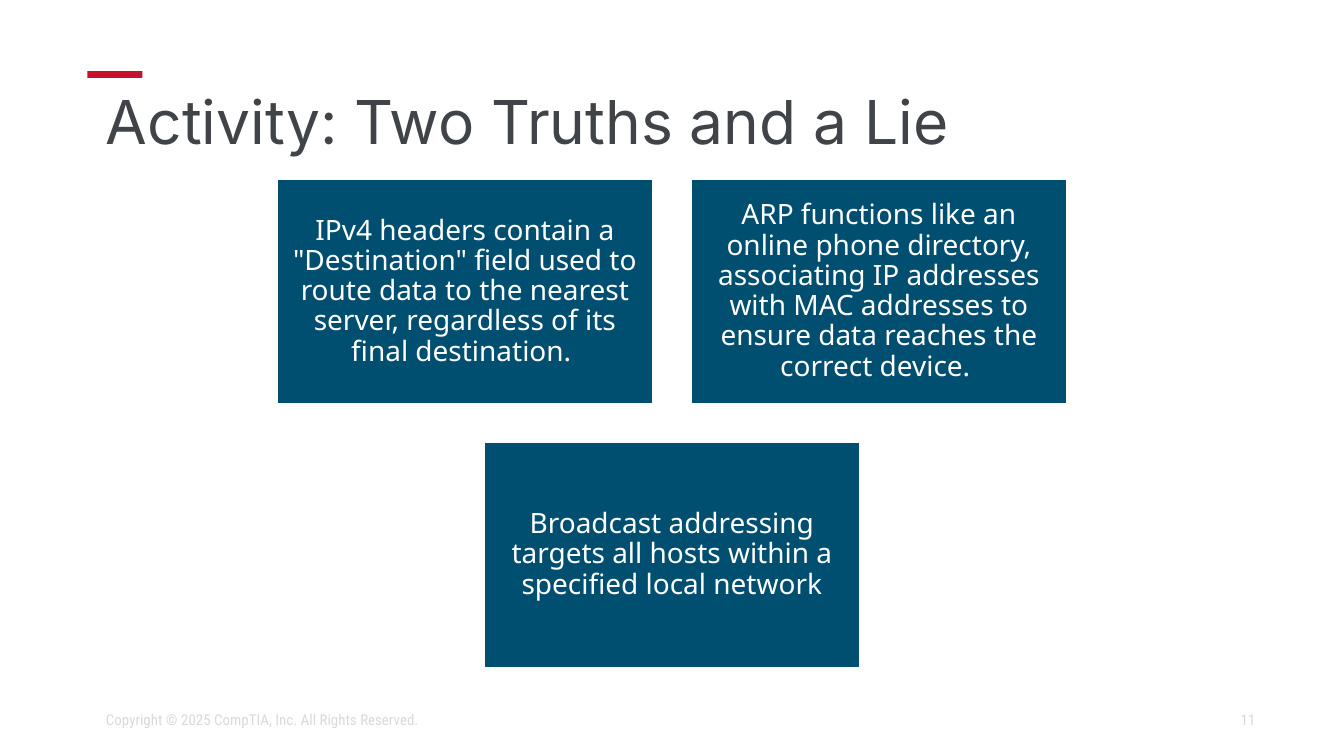
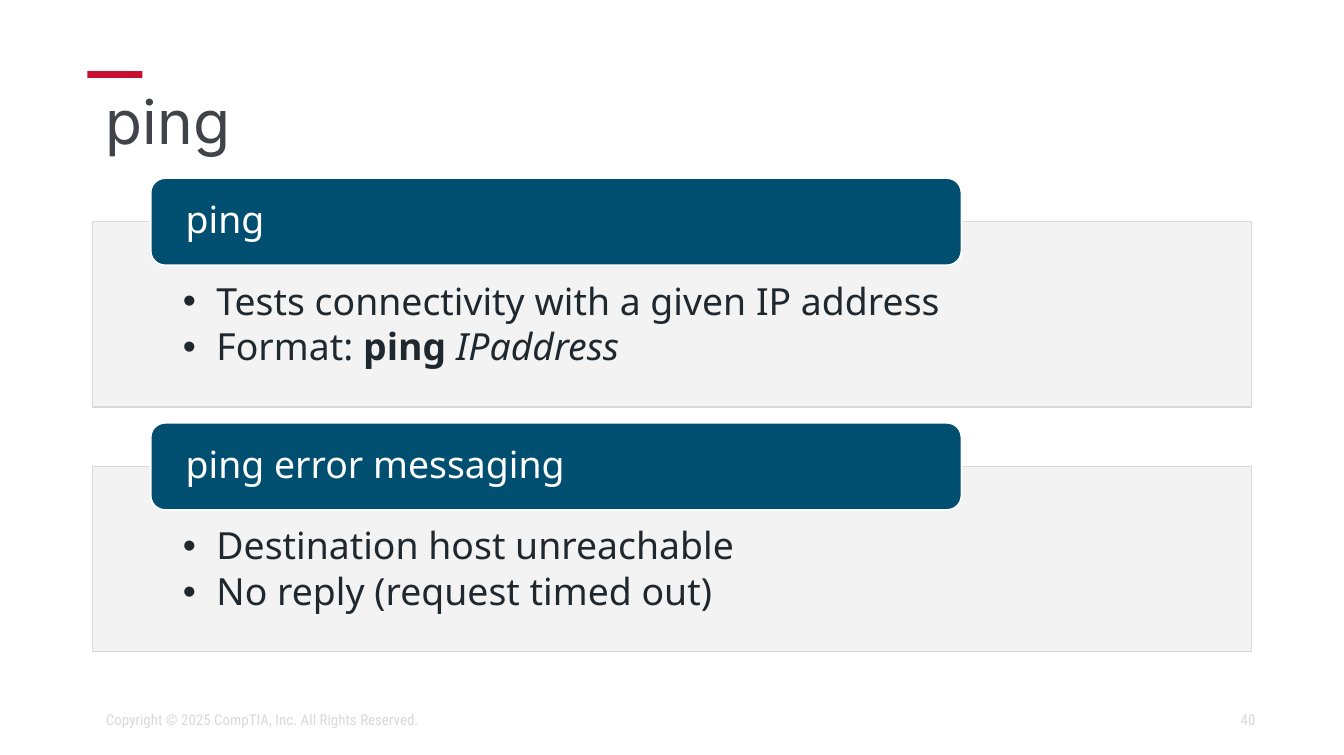
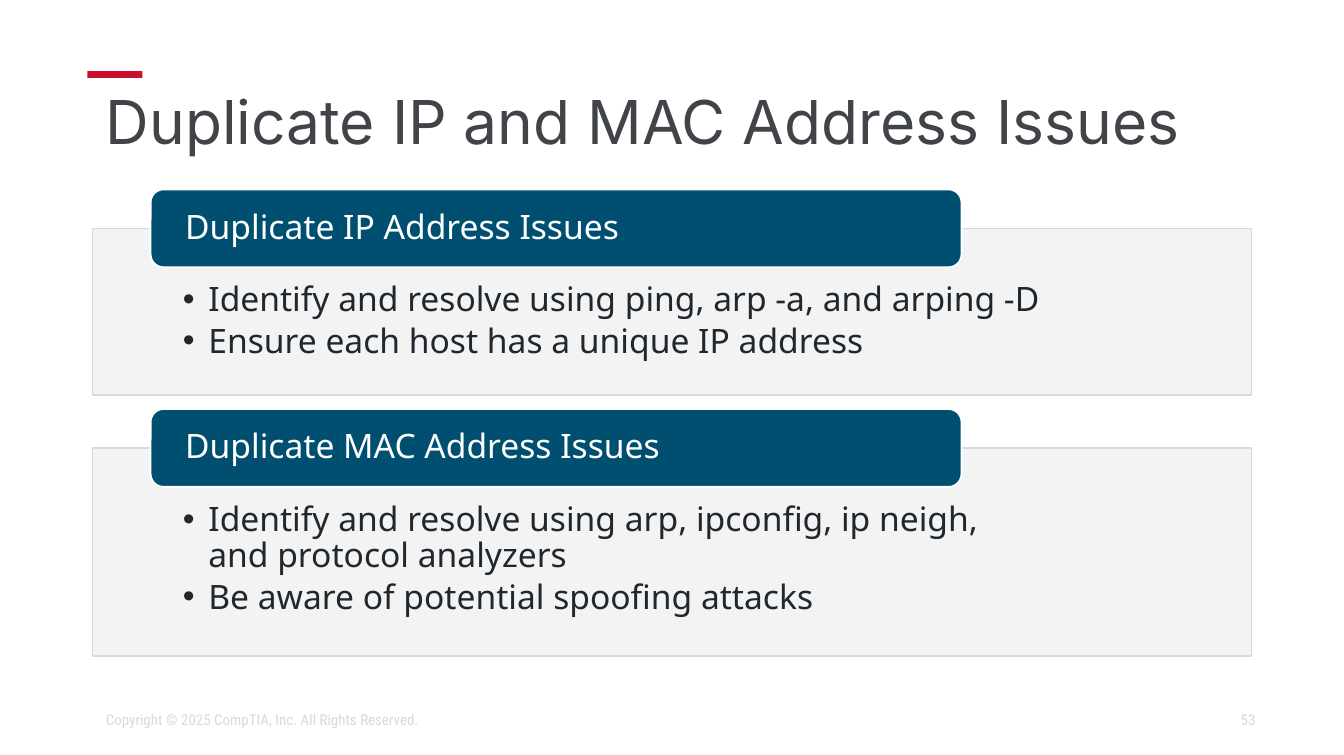
"""Build three networking slides: a card activity and two slides of tabbed panels."""
from lxml import etree
from pptx import Presentation
from pptx.dml.color import RGBColor
from pptx.enum.shapes import MSO_SHAPE
from pptx.enum.text import MSO_ANCHOR, PP_ALIGN
from pptx.oxml.ns import qn
from pptx.util import Inches, Pt

RECT, ROUNDED = MSO_SHAPE.RECTANGLE, MSO_SHAPE.ROUNDED_RECTANGLE
TOP, MIDDLE = MSO_ANCHOR.TOP, MSO_ANCHOR.MIDDLE
LEFT, CENTER, RIGHT = PP_ALIGN.LEFT, PP_ALIGN.CENTER, PP_ALIGN.RIGHT

WIDTH, HEIGHT = 10, 5.62
MARGIN = 0.69
CONTENT = WIDTH - 2 * MARGIN
RED, BLUE, WHITE = "C8102E", "004F71", "FFFFFF"
PANEL_GREY, RULE_GREY = "F2F2F2", "D9D9D9"
TITLE_STYLE = {"name": "Inter", "size": Pt(32.4), "color": "404448"}
FOOTER_STYLE = {"name": "Roboto Condensed", "size": Pt(8), "color": RULE_GREY}
BODY_FONT, BODY_COLOR = "Noto Sans", "20282F"
COPYRIGHT = "Copyright © 2025 CompTIA, Inc. All Rights Reserved."


def paint(fill, color):
    """Make a fill solid in a hex colour."""
    fill.solid()
    fill.fore_color.rgb = RGBColor.from_string(color)


def write(box, paragraphs, style, align=LEFT, anchor=TOP, spacing=0.9,
          insets=(0.1, 0.05, 0.1, 0.05), after=0, hanging=0):
    """Fill a box with paragraphs of (text, format) runs; a newline run breaks the line."""
    frame = box.text_frame
    frame.word_wrap = True
    frame.vertical_anchor = anchor
    for side, inset in zip(("left", "top", "right", "bottom"), insets):
        setattr(frame, f"margin_{side}", Inches(inset))
    for index, runs in enumerate(paragraphs):
        paragraph = frame.add_paragraph() if index else frame.paragraphs[0]
        paragraph.alignment = align
        paragraph.line_spacing = spacing
        paragraph.space_after = Pt(after)
        if hanging:
            paragraph.level = 1
            properties = paragraph._p.get_or_add_pPr()
            properties.set("marL", str(Inches(hanging)))
            properties.set("indent", str(-Inches(hanging)))
            etree.SubElement(properties, qn("a:buFont")).set("typeface", "Arial")
            etree.SubElement(properties, qn("a:buChar")).set("char", "•")
        for text, extra in runs:
            if text == "\n":
                paragraph.add_line_break()
                continue
            run = paragraph.add_run()
            run.text = text
            for key, value in {**style, **extra}.items():
                if key == "color":
                    paint(run.font.fill, value)
                else:
                    setattr(run.font, key, value)


deck = Presentation()
deck.slide_width, deck.slide_height = Inches(WIDTH), Inches(HEIGHT)
blank = deck.slide_layouts[6]

slides = []
for title, number in (
    ("Activity: Two Truths and a Lie", "11"),
    ("ping", "40"),
    ("Duplicate IP and MAC Address Issues", "53"),
):
    slide = deck.slides.add_slide(blank)
    slides.append(slide)
    accent = slide.shapes.add_shape(
        RECT, Inches(0.65), Inches(0.53), Inches(0.41), Inches(0.05))
    accent.shadow.inherit = False
    paint(accent.fill, RED)
    accent.line.fill.background()
    for text, left, top, width, height, style, align, anchor, spacing in (
        (title, MARGIN, 0.64, CONTENT, 0.63, TITLE_STYLE, LEFT, TOP, 0.9),
        (COPYRIGHT, MARGIN, 5.21, 4.31, 0.3, FOOTER_STYLE, LEFT, MIDDLE, 1.0),
        (number, 7.06, 5.21, 2.38, 0.3, FOOTER_STYLE, RIGHT, MIDDLE, 1.0),
    ):
        label = slide.shapes.add_textbox(
            Inches(left), Inches(top), Inches(width), Inches(height))
        write(label, [[(text, {})]], style, align, anchor, spacing)

CARD_WIDTH, CARD_HEIGHT, CARD_GAP, CARD_TOP = 2.8, 1.68, 0.28, 1.33
card_style = {"name": BODY_FONT, "size": Pt(15), "color": WHITE}
card_rows = [
    [
        'IPv4 headers contain a "Destination" field used to route data to the '
        "nearest server, regardless of its final destination. ",
        "ARP functions like an online phone directory, associating IP addresses "
        "with MAC addresses to ensure data reaches the correct device. ",
    ],
    ["Broadcast addressing targets all hosts within a specified local network"],
]
for row, statements in enumerate(card_rows):
    row_width = len(statements) * (CARD_WIDTH + CARD_GAP) - CARD_GAP
    for column, statement in enumerate(statements):
        card = slides[0].shapes.add_shape(
            RECT,
            Inches((WIDTH - row_width) / 2 + column * (CARD_WIDTH + CARD_GAP)),
            Inches(CARD_TOP + row * (CARD_HEIGHT + CARD_GAP)),
            Inches(CARD_WIDTH), Inches(CARD_HEIGHT))
        card.shadow.inherit = False
        paint(card.fill, BLUE)
        paint(card.line.fill, WHITE)
        card.line.width = Pt(1)
        write(card, [[(statement, {})]], card_style, CENTER, MIDDLE, insets=(0.06,) * 4)

panel_slides = [
    (slides[1], 20, 1.65, 0.65, 0.25, [
        ("ping", 1.38, [
            [("Tests connectivity with a given IP address", {})],
            [("Format: ", {}), ("ping ", {"bold": True}), ("IPaddress", {"italic": True})],
        ]),
        ("ping error messaging", 1.38, [
            [("Destination host unreachable", {})],
            [("No reply (request timed out)", {})],
        ]),
    ]),
    (slides[2], 18, 1.7, 0.58, 0.19, [
        ("Duplicate IP Address Issues", 1.24, [
            [("Identify and resolve using ping, arp -a, and arping -D", {})],
            [("Ensure each host has a unique IP address", {})],
        ]),
        ("Duplicate MAC Address Issues", 1.55, [
            [("Identify and resolve using arp, ipconfig, ip neigh, ", {}), ("\n", {}),
             ("and protocol analyzers", {})],
            [("Be aware of potential spoofing attacks", {})],
        ]),
    ]),
]
for slide, size, panel_top, tab_height, hanging, panels in panel_slides:
    body_style = {"name": BODY_FONT, "size": Pt(size), "color": BODY_COLOR}
    for heading, panel_height, points in panels:
        panel = slide.shapes.add_shape(
            RECT, Inches(MARGIN), Inches(panel_top), Inches(CONTENT), Inches(panel_height))
        tab = slide.shapes.add_shape(
            ROUNDED, Inches(MARGIN + 0.05 * CONTENT), Inches(panel_top - tab_height / 2),
            Inches(0.7 * CONTENT), Inches(tab_height))
        for part, fill, line, weight in (
            (panel, PANEL_GREY, RULE_GREY, 0.75),
            (tab, BLUE, WHITE, 1),
        ):
            part.shadow.inherit = False
            paint(part.fill, fill)
            paint(part.line.fill, line)
            part.line.width = Pt(weight)
        panel_color = panel._element.spPr.find(qn("a:solidFill"))[0]
        etree.SubElement(panel_color, qn("a:alpha")).set("val", "90000")
        write(panel, points, body_style, after=0.15 * size, hanging=hanging,
              insets=(0.67, 0.7 * tab_height, 0.67, 0.25 * tab_height))
        write(tab, [[(heading, {})]], {**body_style, "color": WHITE},
              anchor=MIDDLE, insets=(0.23, 0, 0.23, 0))
        panel_top += panel_height + 0.68 * tab_height

deck.save("out.pptx")
